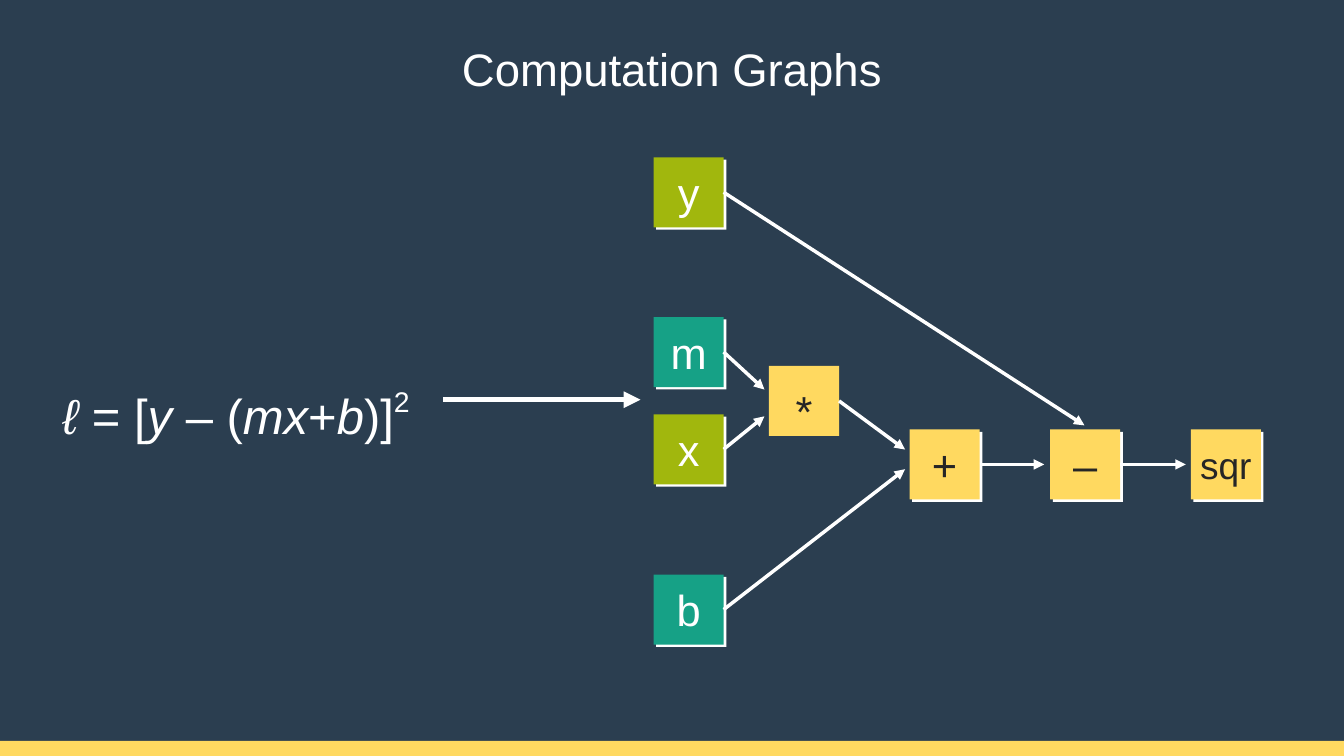
"""Build a slide that turns a squared-error loss into its computation graph."""
from pptx import Presentation
from pptx.dml.color import RGBColor
from pptx.enum.shapes import MSO_CONNECTOR, MSO_SHAPE
from pptx.enum.text import MSO_ANCHOR, MSO_AUTO_SIZE, PP_ALIGN
from pptx.oxml import parse_xml
from pptx.oxml.ns import nsdecls, qn
from pptx.util import Inches, Pt

RECTANGLE, STRAIGHT = MSO_SHAPE.RECTANGLE, MSO_CONNECTOR.STRAIGHT
MIDDLE, BOTTOM = MSO_ANCHOR.MIDDLE, MSO_ANCHOR.BOTTOM
CENTER, GROW = PP_ALIGN.CENTER, MSO_AUTO_SIZE.SHAPE_TO_FIT_TEXT
RIGHT_SIDE = 3

NAVY = RGBColor(0x2B, 0x3E, 0x50)
YELLOW = RGBColor(0xFF, 0xD9, 0x60)
OLIVE = RGBColor(0xA1, 0xB7, 0x0D)
TEAL = RGBColor(0x16, 0xA1, 0x86)
WHITE = RGBColor(0xFF, 0xFF, 0xFF)
INK = RGBColor(0x26, 0x26, 0x26)

WIDTH, HEIGHT, NODE = 26.67, 15, 1.39
INPUT_LEFT, OPERATION_TOP = 12.97, 8.52
OPERATION_LEFT, OPERATION_STEP = 18.05, 2.79


class GraphSlide:
    """Hold the slide and draw its elements in one style."""

    def __init__(self, page, font="Arial"):
        self.page = page
        self.font = font

    def style(self, span, size, color):
        span.font.name = self.font
        span.font.size = Pt(size)
        span.font.color.rgb = color

    def rectangle(self, left, top, width, height, color):
        box = self.page.shapes.add_shape(
            RECTANGLE, Inches(left), Inches(top), Inches(width), Inches(height))
        box.shadow.inherit = False
        box.fill.solid()
        box.fill.fore_color.rgb = color
        box.line.fill.background()
        return box

    def panel(self, top, height, color):
        box = self.rectangle(0, top, WIDTH, height, color)
        title = self.page.shapes.title
        title._element.addprevious(box._element)

    def frame(self, box, inset, anchor=MIDDLE):
        frame = box.text_frame
        frame.margin_left = frame.margin_right = Inches(inset)
        frame.margin_top = frame.margin_bottom = Inches(inset)
        frame.vertical_anchor = anchor
        return frame

    def centered(self, frame, text, size, color):
        frame.text = text
        para = frame.paragraphs[0]
        para.alignment = CENTER
        self.style(para.runs[0], size, color)

    def title(self, text):
        box = self.page.shapes.title
        box.left, box.top = Inches(1.03), Inches(0.07)
        box.width, box.height = Inches(24.61), Inches(2.56)
        self.centered(self.frame(box, 0.06), text, 65, WHITE)

    def formula(self, parts, exponent):
        box = self.page.shapes.add_textbox(
            Inches(1.18), Inches(7.1), Inches(7.4), Inches(1.67))
        frame = self.frame(box, 0.06)
        frame.word_wrap = False
        frame.auto_size = GROW
        para = frame.paragraphs[0]
        para.line_spacing = Pt(127)
        for text, italic in parts + [(exponent, False)]:
            span = para.add_run()
            span.text = text
            self.style(span, 70, WHITE)
            span.font.italic = italic
        span._r.get_or_add_rPr().set("baseline", "45000")

    def node(self, text, left, top, fill, color, size=62, anchor=MIDDLE, shadow=True):
        box = self.rectangle(left, top, NODE, NODE, fill)
        self.centered(self.frame(box, 0, anchor), text, size, color)
        if shadow:
            effects = box._element.spPr.find(qn("a:effectLst"))
            effects.append(parse_xml(
                f'<a:outerShdw {nsdecls("a")} blurRad="0" dist="{Pt(5.1)}" '
                f'dir="{42 * 60000}" rotWithShape="0">'
                f'<a:srgbClr val="{WHITE}"/></a:outerShdw>'))
        return box

    def arrow(self, start, end, width=5, source=None):
        line = self.page.shapes.add_connector(
            STRAIGHT, *(Inches(value) for value in (*start, *end)))
        if source is not None:
            line.begin_connect(source, RIGHT_SIDE)
        line.line.color.rgb = WHITE
        line.line.width = Pt(width)
        line.line._get_or_add_ln().append(
            parse_xml(f'<a:tailEnd {nsdecls("a")} type="triangle"/>'))
        line._element.spPr.append(parse_xml(f'<a:effectLst {nsdecls("a")}/>'))


def main():
    deck = Presentation()
    deck.slide_width, deck.slide_height = Inches(WIDTH), Inches(HEIGHT)
    slide = GraphSlide(deck.slides.add_slide(deck.slide_layouts[5]))
    slide.panel(0, HEIGHT, NAVY)
    slide.panel(14.7, 0.3, YELLOW)
    slide.title("Computation Graphs")
    slide.formula([("ℓ ", True), ("= [", False), ("y ", True), ("– (", False),
                   ("mx", True), ("+", False), ("b", True), (")]", False)], "2")

    nodes = {}
    for name, top, fill in [("y", 3.12, OLIVE), ("x", 8.22, OLIVE),
                            ("m", 6.29, TEAL), ("b", 11.4, TEAL)]:
        nodes[name] = slide.node(name, INPUT_LEFT, top, fill, WHITE)
    nodes["*"] = slide.node("*", 15.26, 7.26, YELLOW, INK, anchor=BOTTOM, shadow=False)
    for index, (name, size) in enumerate([("+", 62), ("–", 62), ("sqr", 53)]):
        left = OPERATION_LEFT + index * OPERATION_STEP
        nodes[name] = slide.node(name, left, OPERATION_TOP, YELLOW, INK, size)

    middle = OPERATION_TOP + NODE / 2
    for name, end in [("y", (21.52, 8.44)), ("m", (15.17, 7.73)),
                      ("x", (15.17, 8.26)), ("*", (17.96, 8.92)),
                      ("b", (17.96, 9.31)), ("+", (20.72, middle)),
                      ("–", (23.53, middle))]:
        slide.arrow((0, 0), end, source=nodes[name])
    slide.arrow((8.8, 7.93), (12.71, 7.93), width=8)
    deck.save("out.pptx")


if __name__ == "__main__":
    main()
